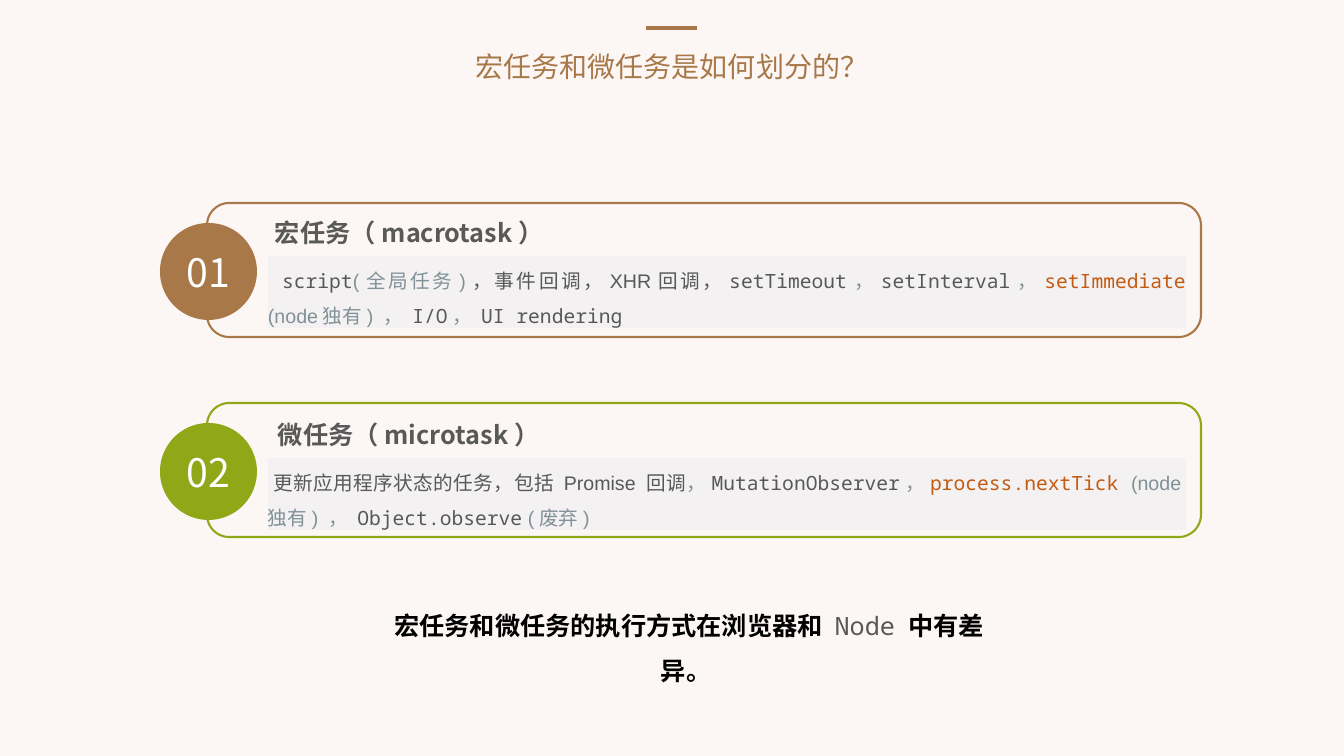
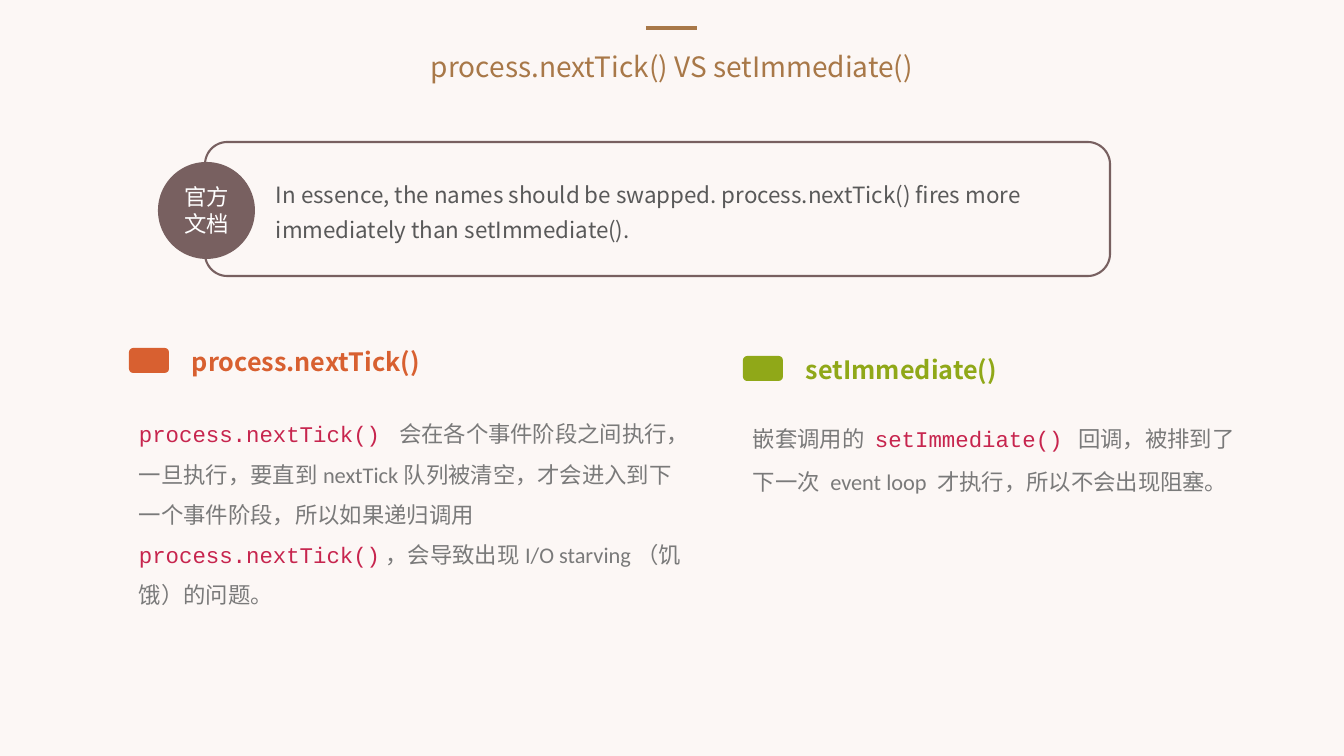
from lxml import etree
from pptx import Presentation
from pptx import util as u
from pptx.dml.color import RGBColor
from pptx.enum import shapes, text
from pptx.oxml import ns

SLIDE_WIDTH, SLIDE_HEIGHT = 1344, 756
PX_PER_INCH = 100.8
TITLE_ONLY = 5
CIRCLE = 97

COLOURS = {
    "background": "FCF7F5",
    "brown": "A87848",
    "green": "90A818",
    "mauve": "786060",
    "orange": "D86030",
    "rust": "C55A11",
    "crimson": "C7254E",
    "panel": "F3F1F1",
    "dark": "595959",
    "ink": "585858",
    "slate": "819198",
    "grey": "7A7A7A",
    "black": "000000",
    "white": "FFFFFF",
}
SANS, MONO = "Noto Sans CJK SC", "Noto Sans Mono"

STYLES = {
    "title": (SANS, 20, "brown", False),
    "number": (SANS, 28, "white", False),
    "badge": (SANS, 16, "white", False),
    "card heading": (SANS, 18, "dark", True),
    "orange heading": (SANS, 18, "orange", True),
    "green heading": (SANS, 18, "green", True),
    "quote": (SANS, 16, "dark", False),
    "plain": ("Arial", 14, "ink", False),
    "note": ("Arial", 14, "slate", False),
    "code": (MONO, 14, "ink", False),
    "key code": (MONO, 14, "rust", False),
    "summary": ("Arial", 18, "black", True),
    "summary code": (MONO, 18, "ink", False),
    "body": ("Calibri", 16, "grey", False),
    "body gap": ("Calibri", 24, "grey", False),
    "body code": ("Courier New", 16, "crimson", False),
}

TASKS = [
    ("01", "brown", 203, (265, 212), 256, "宏任务（macrotask）", [
        ("code", " script"), ("note", "(全局任务)"),
        ("plain", "，事件回调，XHR回调，"), ("code", "setTimeout"),
        ("note", "，"), ("code", "setInterval"), ("note", "，"),
        ("key code", "setImmediate"), ("note", " (node独有) ， "),
        ("code", "I/O"), ("note", "， "), ("code", "UI rendering")]),
    ("02", "green", 403, (268, 414), 458, "微任务（microtask）", [
        ("plain", " 更新应用程序状态的任务，包括 Promise 回调"),
        ("note", "，"), ("code", "MutationObserver"), ("note", "，"),
        ("key code", "process.nextTick "), ("note", "(node独有) ， "),
        ("code", "Object.observe"), ("note", " (废弃)")]),
]
SUMMARY = [("summary", "宏任务和微任务的执行方式在浏览器和 "),
           ("summary code", "Node"), ("summary", " 中有差异。 ")]
QUOTE = ("In essence, the names should be swapped. process.nextTick() "
         "fires more immediately than setImmediate().")
COLUMNS = [
    (129, 348, "orange", "process.nextTick()", (402, 575, 173), [
        ("body code", "process.nextTick() "),
        ("body", "会在各个事件阶段之间执行，一旦执行，要直到nextTick队列被清空，"
                 "才会进入到下一个事件阶段，所以如果递归调用 "),
        ("body code", "process.nextTick()"),
        ("body", "，会导致出现I/O starving（饥饿）的问题。")]),
    (743, 356, "green", "setImmediate()", (389, 510, 112), [
        ("body", "嵌套调用的 "), ("body code", "setImmediate()"),
        ("body gap", " "),
        ("body", "回调，被排到了下一次 event loop 才执行，所以不会出现阻塞。")]),
]


def px(length):
    """Turn pixels into EMU."""
    return u.Emu(round(length * 914400 / PX_PER_INCH))


def colour(name):
    """Look up a named colour."""
    return RGBColor.from_string(COLOURS[name])


def write(shape, runs, align=text.PP_ALIGN.LEFT, spacing=1.0,
          anchor=text.MSO_ANCHOR.TOP):
    """Fill a shape with one paragraph of styled runs."""
    frame = shape.text_frame
    frame.word_wrap = True
    frame.auto_size = text.MSO_AUTO_SIZE.NONE
    frame.vertical_anchor = anchor
    paragraph = frame.paragraphs[0]
    paragraph.alignment = align
    paragraph.line_spacing = spacing
    for style, words in runs:
        run = paragraph.add_run()
        run.text = words
        font_name, size, colour_name, bold = STYLES[style]
        run.font.size = u.Pt(size)
        run.font.bold = bold
        run.font.color.rgb = colour(colour_name)
        run.font.name = font_name
        east_asian = etree.SubElement(run.font._element, ns.qn("a:ea"))
        east_asian.set("typeface", SANS)


def add_text(slide, box, runs, **layout):
    """Add a text box."""
    write(slide.shapes.add_textbox(*map(px, box)), runs, **layout)


def add_shape(slide, kind, box, fill=None, line=None):
    """Add a flat preset shape."""
    shape = slide.shapes.add_shape(kind, *map(px, box))
    shape.shadow.inherit = False
    if fill:
        shape.fill.solid()
        shape.fill.fore_color.rgb = colour(fill)
    else:
        shape.fill.background()
    if line:
        shape.line.color.rgb = colour(line)
        shape.line.width = u.Pt(1.5)
    else:
        shape.line.fill.background()
    return shape


def add_titled_slide(presentation, title):
    """Add a slide with its title and the short rule above it."""
    slide = presentation.slides.add_slide(
        presentation.slide_layouts[TITLE_ONLY])
    placeholder = slide.shapes.title
    placeholder.left, placeholder.top = px(SLIDE_WIDTH // 4), px(44)
    placeholder.width, placeholder.height = px(SLIDE_WIDTH // 2), px(44)
    write(placeholder, [("title", title)], align=text.PP_ALIGN.CENTER)
    rule = slide.shapes.add_connector(
        shapes.MSO_CONNECTOR.STRAIGHT, px(646), px(28), px(697), px(28))
    rule.line.color.rgb = colour("brown")
    rule.line.width = u.Pt(3)
    etree.SubElement(rule._element.spPr, ns.qn("a:effectLst"))
    return slide


def add_card(slide, left, top, width, colour_name, badge, badge_style):
    """Add an outlined card with a round badge on its left edge."""
    add_shape(slide, shapes.MSO_SHAPE.ROUNDED_RECTANGLE,
              (left, top, width, 134), line=colour_name)
    circle = add_shape(slide, shapes.MSO_SHAPE.OVAL,
                       (left - 47, top + 20, CIRCLE, CIRCLE),
                       fill=colour_name)
    write(circle, [(badge_style, badge)], align=text.PP_ALIGN.CENTER,
          anchor=text.MSO_ANCHOR.MIDDLE)


def add_panel(slide, top, runs):
    """Add a shaded panel of justified text."""
    panel = add_shape(slide, shapes.MSO_SHAPE.RECTANGLE,
                      (268, top, 918, 72), fill="panel")
    frame = panel.text_frame
    frame.margin_left = frame.margin_right = 0
    frame.margin_top = frame.margin_bottom = 0
    write(panel, runs, align=text.PP_ALIGN.JUSTIFY, spacing=1.5,
          anchor=text.MSO_ANCHOR.MIDDLE)


def add_column(slide, left, top, colour_name, heading, body_box, runs):
    """Add a marker, a heading and the text below."""
    body_top, body_width, body_height = body_box
    add_shape(slide, shapes.MSO_SHAPE.ROUNDED_RECTANGLE,
              (left, top, 40, 25), fill=colour_name)
    add_text(slide, (left + 53, top - 7, 290, 40),
             [(f"{colour_name} heading", heading)])
    add_text(slide, (left, body_top, body_width, body_height), runs,
             spacing=1.5)


def build_task_slide(presentation):
    """Build the slide on the two kinds of task."""
    slide = add_titled_slide(presentation, "宏任务和微任务是如何划分的？")
    for number, colour_name, top, corner, panel_top, heading, runs in TASKS:
        add_card(slide, 207, top, 994, colour_name, number, "number")
        add_text(slide, (*corner, 332, 40), [("card heading", heading)])
        add_panel(slide, panel_top, runs)
    add_text(slide, (379, 590, 620, 102), SUMMARY,
             align=text.PP_ALIGN.CENTER, spacing=1.5)


def build_comparison_slide(presentation):
    """Build the slide comparing the two functions."""
    slide = add_titled_slide(presentation,
                             "process.nextTick() VS setImmediate()")
    add_card(slide, 205, 142, 905, "mauve", "官方文档", "badge")
    add_text(slide, (266, 168, 844, 81), [("quote", QUOTE)], spacing=1.3)
    for column in COLUMNS:
        add_column(slide, *column)


def main():
    """Build and save the presentation."""
    presentation = Presentation()
    presentation.slide_width = px(SLIDE_WIDTH)
    presentation.slide_height = px(SLIDE_HEIGHT)
    background = presentation.slide_master.background.fill
    background.solid()
    background.fore_color.rgb = colour("background")
    build_task_slide(presentation)
    build_comparison_slide(presentation)
    presentation.save("out.pptx")


if __name__ == "__main__":
    main()
